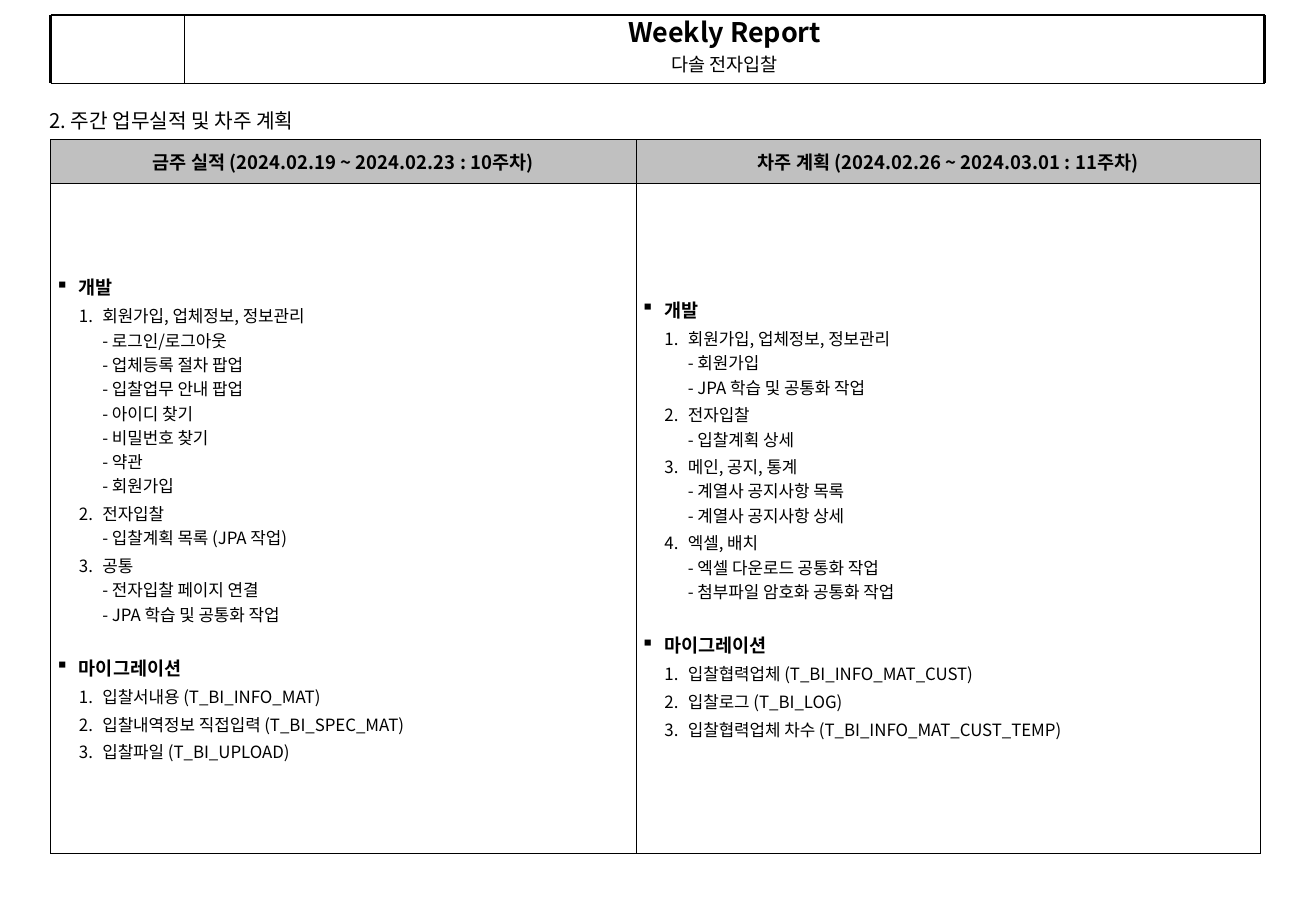
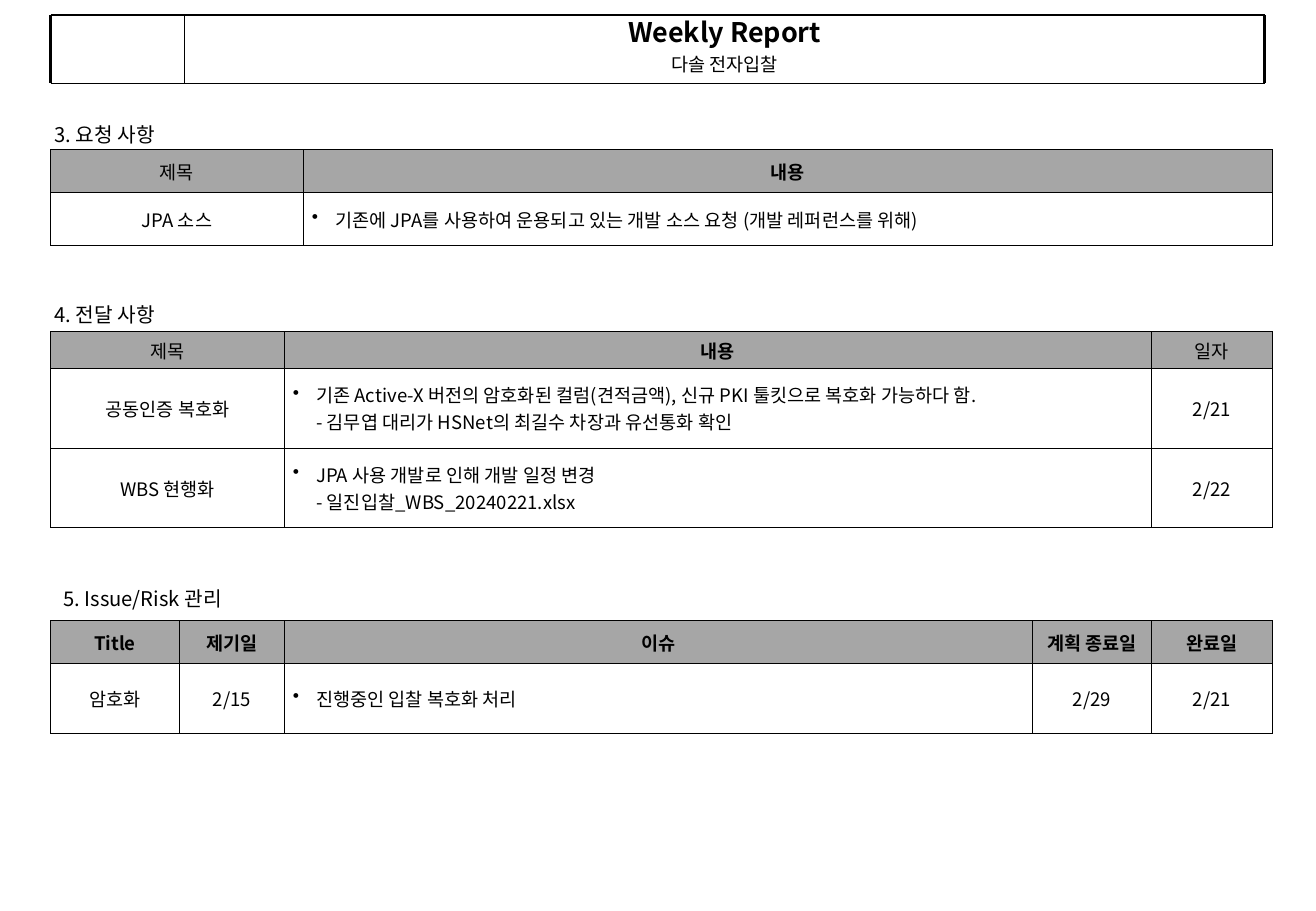
from copy import deepcopy

from lxml import etree
from pptx import Presentation
from pptx.dml.color import RGBColor
from pptx.enum.shapes import MSO_CONNECTOR
from pptx.enum.text import MSO_ANCHOR, MSO_AUTO_SIZE, PP_ALIGN
from pptx.oxml.ns import qn
from pptx.util import Pt

STRAIGHT = MSO_CONNECTOR.STRAIGHT
TOP, MIDDLE = MSO_ANCHOR.TOP, MSO_ANCHOR.MIDDLE
NO_AUTOFIT = MSO_AUTO_SIZE.NONE
LEFT, CENTER = PP_ALIGN.LEFT, PP_ALIGN.CENTER

FONT = "Noto Sans CJK KR"
BLACK = RGBColor(0x00, 0x00, 0x00)
PLAN_GRAY = RGBColor(0xC0, 0xC0, 0xC0)
HEAD_GRAY = RGBColor(0xA6, 0xA6, 0xA6)
BORDER = 0.45
PAGE_LEFT, PAGE_RIGHT = 30, 750
HEADER_TOP, HEADER_BOTTOM, HEADER_SPLIT = 9, 49.5, 109.5
HANG = 13.9

# Bullet marks of the list levels
SECTION, ITEM, NOTE = "▪", "1.", "•"


def write(paragraph, text, size, bold=False, align=LEFT):
    """Fill a paragraph; its line breaks take the format of the runs."""
    paragraph.text = text
    paragraph.alignment = align
    for run in paragraph.runs:
        run.font.size = Pt(size)
        run.font.bold = bold
        run.font.color.rgb = BLACK
        run.font.name = FONT
        run_props = run.font._element
        run_props.set("kern", "0")
        etree.SubElement(run_props, qn("a:ea"), typeface=FONT)
    for line_break in paragraph._p.findall(qn("a:br")):
        line_break.insert(0, deepcopy(paragraph.runs[0].font._element))


def add_grid(slide, top, widths, heights, rows, head_color, side_margin):
    """Add a ruled table; a cell is a centred text or a list of (mark, text)."""
    table = slide.shapes.add_table(
        len(heights), len(widths), Pt(PAGE_LEFT), Pt(top),
        Pt(sum(widths)), Pt(sum(heights))).table
    table.horz_banding = False
    table.first_row = False
    for column, width in zip(table.columns, widths):
        column.width = Pt(width)
    for row, height in zip(table.rows, heights):
        row.height = Pt(height)

    for r, row in enumerate(rows):
        for c, content in enumerate(row):
            cell = table.cell(r, c)
            cell.vertical_anchor = MIDDLE
            cell.margin_left = cell.margin_right = Pt(side_margin)
            cell.margin_top = cell.margin_bottom = Pt(2)

            # Borders come before the fill
            cell_props = cell._tc.get_or_add_tcPr()
            for side in ("a:lnL", "a:lnR", "a:lnT", "a:lnB"):
                edge = etree.SubElement(cell_props, qn(side), w=str(Pt(BORDER)))
                fill = etree.SubElement(edge, qn("a:solidFill"))
                etree.SubElement(fill, qn("a:srgbClr"), val=str(BLACK))
            if r == 0:
                cell.fill.solid()
                cell.fill.fore_color.rgb = head_color
            else:
                cell.fill.background()

            frame = cell.text_frame
            if isinstance(content, str):
                bold = r == 0 and content not in ("제목", "일자")
                write(frame.paragraphs[0], content, 11, bold, CENTER)
                continue

            # Bulleted and numbered lists
            for i, (mark, text) in enumerate(content):
                paragraph = frame.add_paragraph() if i else frame.paragraphs[0]
                level = 1 if mark == ITEM else 0
                write(paragraph, text, 10 if mark == ITEM else 11, mark == SECTION)
                paragraph.level = level
                if i:
                    paragraph.space_before = Pt(15.5 if mark == SECTION else 1)
                if mark != NOTE:
                    paragraph.space_after = Pt(1)
                props = paragraph._p.get_or_add_pPr()
                props.set("marL", str(Pt(HANG * (level + 1))))
                props.set("indent", str(-Pt(HANG)))
                if mark == ITEM:
                    etree.SubElement(props, qn("a:buAutoNum"), type="arabicPeriod")
                else:
                    etree.SubElement(props, qn("a:buChar"), char=mark)


prs = Presentation()
prs.slide_width = Pt(780.48)
prs.slide_height = Pt(540)
title_only = prs.slide_layouts[5]

# Section headings of each slide: text, left, top, width
SECTIONS = [
    [("2. 주간 업무실적 및 차주 계획", 22.3, 60.9, 221)],
    [("3. 요청 사항", 25.2, 68.9, 77.8),
     ("4. 전달 사항", 25.2, 175.4, 77.8),
     ("5. Issue/Risk 관리", 30.5, 344.3, 115.2)],
]
# Header rules: x1, y1, x2, y2, weight
HEADER_RULES = [
    (HEADER_SPLIT, HEADER_TOP, HEADER_SPLIT, HEADER_BOTTOM, 0.25),
    (PAGE_LEFT, HEADER_TOP, PAGE_LEFT, HEADER_BOTTOM, 1.5),
    (PAGE_RIGHT, HEADER_TOP, PAGE_RIGHT, HEADER_BOTTOM, 1.5),
    (PAGE_LEFT, HEADER_TOP, PAGE_RIGHT, HEADER_TOP, 1.5),
    (PAGE_LEFT, HEADER_BOTTOM, PAGE_RIGHT, HEADER_BOTTOM, 0.25),
]

# Shared header and section headings
for headings in SECTIONS:
    slide = prs.slides.add_slide(title_only)
    title = slide.shapes.title
    title.left, title.top = Pt(HEADER_SPLIT), Pt(9.4)
    title.width, title.height = Pt(PAGE_RIGHT - HEADER_SPLIT), Pt(40.3)
    frame = title.text_frame
    frame.auto_size = NO_AUTOFIT
    frame.vertical_anchor = TOP
    frame.margin_top = frame.margin_bottom = 0
    write(frame.paragraphs[0], "Weekly Report", 16, True, CENTER)
    project = frame.add_paragraph()
    write(project, "다솔 전자입찰", 11, False, CENTER)
    project.space_before = Pt(2.8)

    for x1, y1, x2, y2, weight in HEADER_RULES:
        rule = slide.shapes.add_connector(STRAIGHT, Pt(x1), Pt(y1), Pt(x2), Pt(y2))
        rule.line.color.rgb = BLACK
        rule.line.width = Pt(weight)
        etree.SubElement(rule._element.spPr, qn("a:effectLst"))

    for text, left, top, width in headings:
        heading = slide.shapes.add_textbox(Pt(left), Pt(top), Pt(width), Pt(21.6))
        heading.text_frame.word_wrap = False
        write(heading.text_frame.paragraphs[0], text, 12)

plan_slide, issue_slide = prs.slides

# Slide 1: results of this week and plan for the next
this_week = [
    (SECTION, "개발"),
    (ITEM, "회원가입, 업체정보, 정보관리\n- 로그인/로그아웃\n- 업체등록 절차 팝업\n"
           "- 입찰업무 안내 팝업\n- 아이디 찾기\n- 비밀번호 찾기\n- 약관\n- 회원가입"),
    (ITEM, "전자입찰\n- 입찰계획 목록 (JPA 작업)"),
    (ITEM, "공통\n- 전자입찰 페이지 연결\n- JPA 학습 및 공통화 작업"),
    (SECTION, "마이그레이션"),
    (ITEM, "입찰서내용 (T_BI_INFO_MAT)"),
    (ITEM, "입찰내역정보 직접입력 (T_BI_SPEC_MAT)"),
    (ITEM, "입찰파일 (T_BI_UPLOAD)"),
]
next_week = [
    (SECTION, "개발"),
    (ITEM, "회원가입, 업체정보, 정보관리\n- 회원가입\n- JPA 학습 및 공통화 작업"),
    (ITEM, "전자입찰\n- 입찰계획 상세"),
    (ITEM, "메인, 공지, 통계\n- 계열사 공지사항 목록\n- 계열사 공지사항 상세"),
    (ITEM, "엑셀, 배치\n- 엑셀 다운로드 공통화 작업\n- 첨부파일 암호화 공통화 작업"),
    (SECTION, "마이그레이션"),
    (ITEM, "입찰협력업체 (T_BI_INFO_MAT_CUST)"),
    (ITEM, "입찰로그 (T_BI_LOG)"),
    (ITEM, "입찰협력업체 차수 (T_BI_INFO_MAT_CUST_TEMP)"),
]
add_grid(plan_slide, 82.8, [347.3, 370.2], [26, 397], [
    ["금주 실적 (2024.02.19 ~ 2024.02.23 : 10주차)",
     "차주 계획 (2024.02.26 ~ 2024.03.01 : 11주차)"],
    [this_week, next_week],
], PLAN_GRAY, 2.9)

# Slide 2: requests
add_grid(issue_slide, 88.7, [150, 574.7], [25.5, 31.4], [
    ["제목", "내용"],
    ["JPA 소스",
     [(NOTE, "기존에 JPA를 사용하여 운용되고 있는 개발 소스 요청 (개발 레퍼런스를 위해)")]],
], HEAD_GRAY, 5)

# Slide 2: notices
add_grid(issue_slide, 196.5, [138.7, 514.3, 71.7], [22, 47, 47.3], [
    ["제목", "내용", "일자"],
    ["공동인증 복호화",
     [(NOTE, "기존 Active-X 버전의 암호화된 컬럼(견적금액), 신규 PKI 툴킷으로 복호화 가능하다 함.\n"
             "- 김무엽 대리가 HSNet의 최길수 차장과 유선통화 확인")],
     "2/21"],
    ["WBS 현행화",
     [(NOTE, "JPA 사용 개발로 인해 개발 일정 변경\n- 일진입찰_WBS_20240221.xlsx")],
     "2/22"],
], HEAD_GRAY, 5)

# Slide 2: issues and risks
add_grid(issue_slide, 368, [76.4, 62.3, 443.6, 70.7, 71.7], [25, 41.5], [
    ["Title", "제기일", "이슈", "계획 종료일", "완료일"],
    ["암호화", "2/15", [(NOTE, "진행중인 입찰 복호화 처리")], "2/29", "2/21"],
], HEAD_GRAY, 5)

prs.save("out.pptx")
